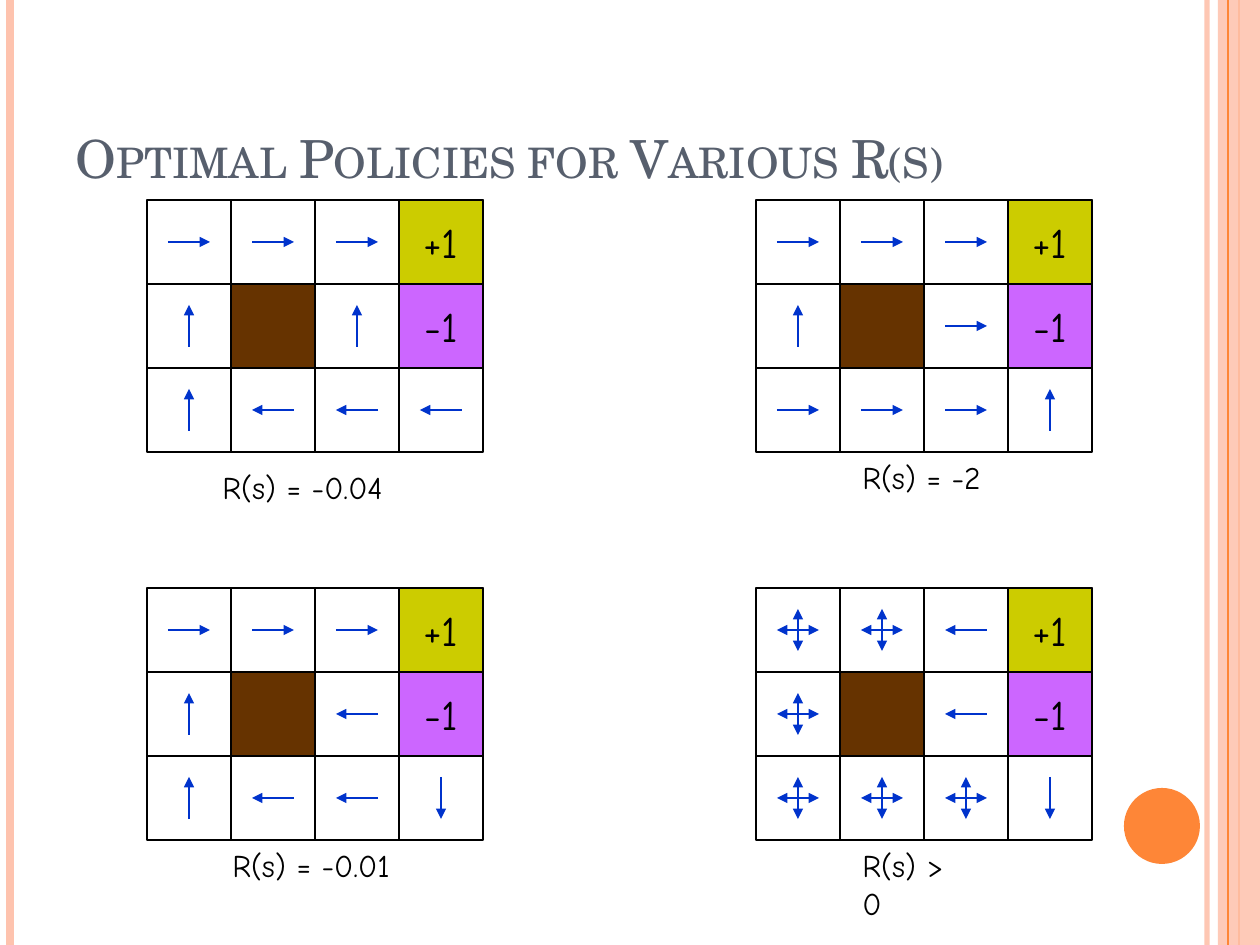
from lxml.etree import SubElement as Sub
from pptx import Presentation
from pptx.dml.color import RGBColor as Rgb
from pptx.enum.shapes import MSO_CONNECTOR as Link, MSO_SHAPE as Kind
from pptx.enum.text import MSO_ANCHOR as Anchor, PP_ALIGN as Align
from pptx.oxml.ns import qn
from pptx.util import Emu, Pt

HUE = {
    "ink": "000000", "title": "575F6D", "arrow": "0033CC",
    "wall": "663300", "gain": "CCCC00", "loss": "CC66FF",
    "peach": "FEC3AE", "orange": "FE8637",
}
BODY, HEAD = "Comic Neue", "TeX Gyre Schola"
CELL = 84
STEPS = {">": (1, 0), "<": (-1, 0), "^": (0, -1), "v": (0, 1)}
BLOCKS = {"#": ("wall", ""), "+": ("gain", "+1"), "-": ("loss", "-1")}
GRIDS = [
    (756, 588, "xx<+ x#<- xxxv"),
    (147, 588, ">>>+ ^#<- ^<<v"),
    (147, 200, ">>>+ ^#^- ^<<<"),
    (756, 200, ">>>+ ^#>- >>>^"),
]
NOTES = [
    (220, 840, 192, "R(s) = -0.01", False),
    (210, 462, 197, "R(s) = -0.04", False),
    (850, 452, 151, "R(s) = -2", False),
    (850, 840, 134, "R(s) > 0", True),
]


def px(*nums):
    return [Emu(round(n * 914400 / 126)) for n in nums]


def paint(color, hue, alpha=100):
    color.rgb = Rgb.from_string(HUE[hue])


def fade(node, alpha):
    if alpha < 100:
        tint = next(node.iter(qn("a:srgbClr")))
        Sub(tint, qn("a:alpha"), val=str(alpha * 1000))


def line(shapes, start, end, hue="ink", width=0.75, alpha=100, ends=()):
    link = shapes.add_connector(Link.STRAIGHT, *px(*start, *end))
    link.line.width = Pt(width)
    paint(link.line.color, hue)
    stroke = link.line._get_or_add_ln()
    fade(stroke, alpha)
    for end in ends:
        Sub(stroke, qn("a:" + end), type="triangle")
    Sub(link._element.spPr, qn("a:effectLst"))


def shape(shapes, kind, box, fill=None, edge=None, alpha=100):
    item = shapes.add_shape(kind, *px(*box))
    item.shadow.inherit = False
    if fill:
        item.fill.solid()
        paint(item.fill.fore_color, fill)
        fade(item._element.spPr, alpha)
    else:
        item.fill.background()
    if edge:
        paint(item.line.color, edge)
        item.line.width = Pt(0.75)
    else:
        item.line.fill.background()
    return item


def write(item, text, size=18, font=BODY, hue="ink", align=Align.LEFT,
          anchor=Anchor.TOP, wrap=False, caps=False):
    frame = item.text_frame
    frame.word_wrap = wrap
    frame.vertical_anchor = anchor
    para = frame.paragraphs[0]
    para.alignment = align
    run = para.add_run()
    run.text = text
    run.font.size = Pt(size)
    run.font.name = font
    paint(run.font.color, hue)
    if caps:
        run.font._element.set("cap", "small")


def arrow(shapes, x, y, step, ends=("tailEnd",)):
    dx, dy = (CELL // 4 * n for n in step)
    line(shapes, (x - dx, y - dy), (x + dx, y + dy), "arrow", ends=ends)


def block(shapes, left, top, mark):
    fill, text = BLOCKS[mark]
    item = shape(shapes, Kind.RECTANGLE, (left, top, CELL, CELL), fill, "ink")
    if text:
        write(item, text, size=24, align=Align.CENTER, anchor=Anchor.MIDDLE)


def grid(slide, left, top, plan):
    shapes = slide.shapes.add_group_shape().shapes
    wide, high = 4 * CELL, 3 * CELL
    shape(shapes, Kind.RECTANGLE, (left, top, wide, high), edge="ink")
    for x in range(left + CELL, left + wide, CELL):
        line(shapes, (x, top), (x, top + high))
    for y in range(top + CELL, top + high, CELL):
        line(shapes, (left, y), (left + wide, y))
    for row, marks in enumerate(plan.split()):
        for col, mark in enumerate(marks):
            x, y = left + col * CELL, top + row * CELL
            mid = x + CELL // 2, y + CELL // 2
            if mark in BLOCKS:
                block(shapes, x, y, mark)
            elif mark == "x":
                for step in (STEPS["^"], STEPS[">"]):
                    arrow(shapes, *mid, step, ("headEnd", "tailEnd"))
            else:
                arrow(shapes, *mid, STEPS[mark])


def frame(slide, wide, high):
    shapes = slide.shapes
    for x, hue, width, alpha in [
        (wide - 53, "peach", 3, 93),
        (10, "peach", 4.5, 100),
        (wide - 21, "orange", 1.5, 100),
    ]:
        line(shapes, (x, 0), (x, high), hue, width, alpha)
    shape(shapes, Kind.RECTANGLE, (wide - 42, 0, 42, high), "peach", alpha=87)
    line(shapes, (wide - 32, 0), (wide - 32, high), "orange")
    shape(shapes, Kind.OVAL, (wide - 136, high - 157, 76, 76), "orange")


def title(slide, box):
    item = slide.shapes.add_textbox(*px(*box))
    write(item, "Optimal Policies for Various R(s)", size=30, font=HEAD,
          hue="title", anchor=Anchor.BOTTOM, wrap=True, caps=True)


def note(slide, left, top, wide, text, wrap):
    item = slide.shapes.add_textbox(*px(left, top, wide, 50))
    write(item, text, wrap=wrap)


def main():
    deck = Presentation()
    wide, high = 1260, 945
    deck.slide_width, deck.slide_height = px(wide, high)
    slide = deck.slides.add_slide(deck.slide_layouts[6])
    frame(slide, wide, high)
    title(slide, (63, 38, 1029, 157))
    for plan in GRIDS:
        grid(slide, *plan)
    for words in NOTES:
        note(slide, *words)
    deck.save("out.pptx")


if __name__ == "__main__":
    main()
